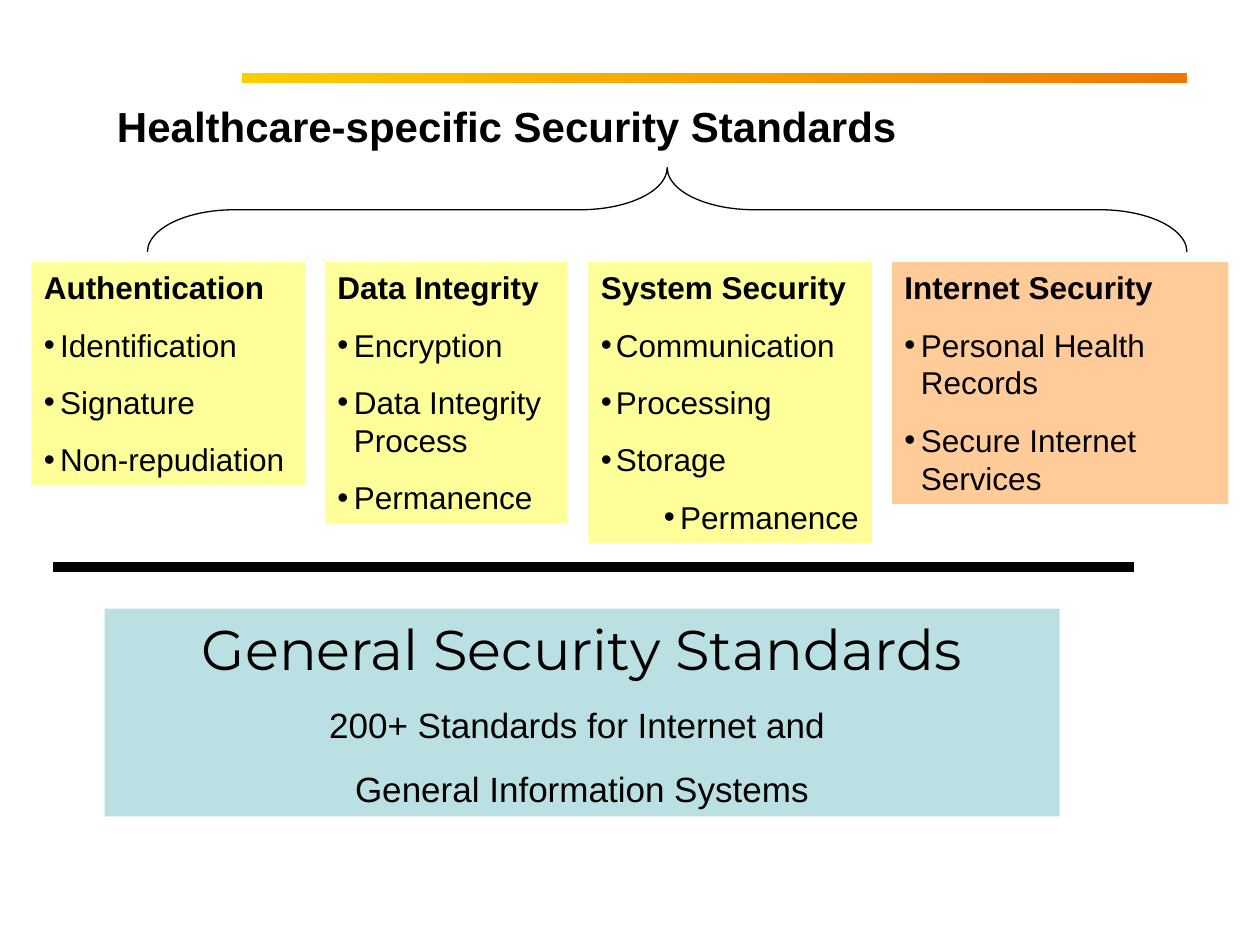
"""Build the slide on healthcare-specific and general security standards."""
from lxml import etree
from pptx import Presentation
from pptx.dml.color import RGBColor
from pptx.enum import shapes, text
from pptx.oxml import ns
from pptx.util import Inches, Pt

COLORS = {"black": "000000", "yellow": "FFFF99", "peach": "FFCC99",
          "blue": "BBE0E3", "gold": "FFCC00", "orange": "F07800"}


def add_box(left, top, width, height, lines, fill=None):
    box = slide.shapes.add_textbox(*map(Inches, (left, top, width, height)))
    if fill:
        box.fill.solid()
        box.fill.fore_color.rgb = RGBColor.from_string(COLORS[fill])
    frame = box.text_frame
    frame.word_wrap = True
    frame.auto_size = text.MSO_AUTO_SIZE.SHAPE_TO_FIT_TEXT
    for line in lines[1:]:
        frame.add_paragraph()
    for paragraph, line in zip(frame.paragraphs, lines):
        paragraph.text = line
    return frame.paragraphs


def style(paragraph, size, name="Arial", bold=False, before=0):
    paragraph.space_before = Pt(before)
    paragraph.font.name = name
    paragraph.font.size = Pt(size)
    paragraph.font.bold = bold
    paragraph.font.color.rgb = RGBColor.from_string(COLORS["black"])


presentation = Presentation()
presentation.slide_width, presentation.slide_height = Inches(10), Inches(7.5)
slide = presentation.slides.add_slide(presentation.slide_layouts[6])

accent_bar = slide.shapes.add_shape(
    shapes.MSO_SHAPE.RECTANGLE, Inches(1.92), Inches(0.58), Inches(7.5), Inches(0.08))
accent_bar.shadow.inherit = False
accent_bar.line.fill.background()
accent_bar.fill.gradient()
accent_bar.fill.gradient_angle = 0
for stop, color, position in zip(accent_bar.fill.gradient_stops, ("gold", "orange"), (0, 1)):
    stop.color.rgb = RGBColor.from_string(COLORS[color])
    stop.position = position

divider = slide.shapes.add_connector(
    shapes.MSO_CONNECTOR.STRAIGHT, Inches(0.42), Inches(4.5), Inches(9), Inches(4.5))
divider.line.color.rgb = RGBColor.from_string(COLORS["black"])
divider.line.width = Pt(6)
etree.SubElement(divider._element.spPr, ns.qn("a:effectLst"))

general = add_box(0.83, 4.83, 7.58, 1.65, [
    "General Security Standards",
    "200+ Standards for Internet and ",
    "General Information Systems"], "blue")
for index, paragraph in enumerate(general):
    paragraph.alignment = text.PP_ALIGN.CENTER
    if index == 0:
        style(paragraph, 32, "Montserrat")
    else:
        style(paragraph, 20, before=12.5)

columns = [
    (0.25, 2.17, 1.77, 0.13, "yellow", "Authentication",
     ["Identification", "Signature", "Non-repudiation"]),
    (2.58, 1.92, 2.07, 0.13, "yellow", "Data Integrity",
     ["Encryption", "Data Integrity Process", "Permanence"]),
    (4.67, 2.25, 2.23, 0.12, "yellow", "System Security",
     ["Communication", "Processing", "Storage", ("Permanence", 1)]),
    (7.08, 2.67, 1.92, 0.13, "peach", "Internet Security",
     ["Personal Health Records", "Secure Internet Services"]),
]
for left, width, height, indent, fill, heading, items in columns:
    entries = [item if isinstance(item, tuple) else (item, 0) for item in items]
    heading_paragraph, *bullets = add_box(
        left, 2.08, width, height, [heading] + [label for label, level in entries], fill)
    style(heading_paragraph, 18, bold=True)
    for paragraph, (label, level) in zip(bullets, entries):
        paragraph.level = level
        hanging = 0.13 if level else indent
        properties = paragraph._p.get_or_add_pPr()
        properties.set("marL", str(Inches(0.5 * level + hanging)))
        properties.set("indent", str(-Inches(hanging)))
        etree.SubElement(properties, ns.qn("a:buFont"), typeface="Arial")
        etree.SubElement(properties, ns.qn("a:buChar"), char="•")
        style(paragraph, 18, before=11.2)

brace = slide.shapes.add_shape(
    shapes.MSO_SHAPE.LEFT_BRACE, Inches(4.96), Inches(-2.46), Inches(0.67), Inches(8.25))
brace.rotation = 90
brace.adjustments[0] = 1.03
brace.shadow.inherit = False
brace.fill.background()
brace.line.color.rgb = RGBColor.from_string(COLORS["black"])
brace.line.width = Pt(0.75)

title, = add_box(0.83, 0.75, 6.58, 0.5, ["Healthcare-specific Security Standards"])
style(title, 24, bold=True)

presentation.save("out.pptx")
